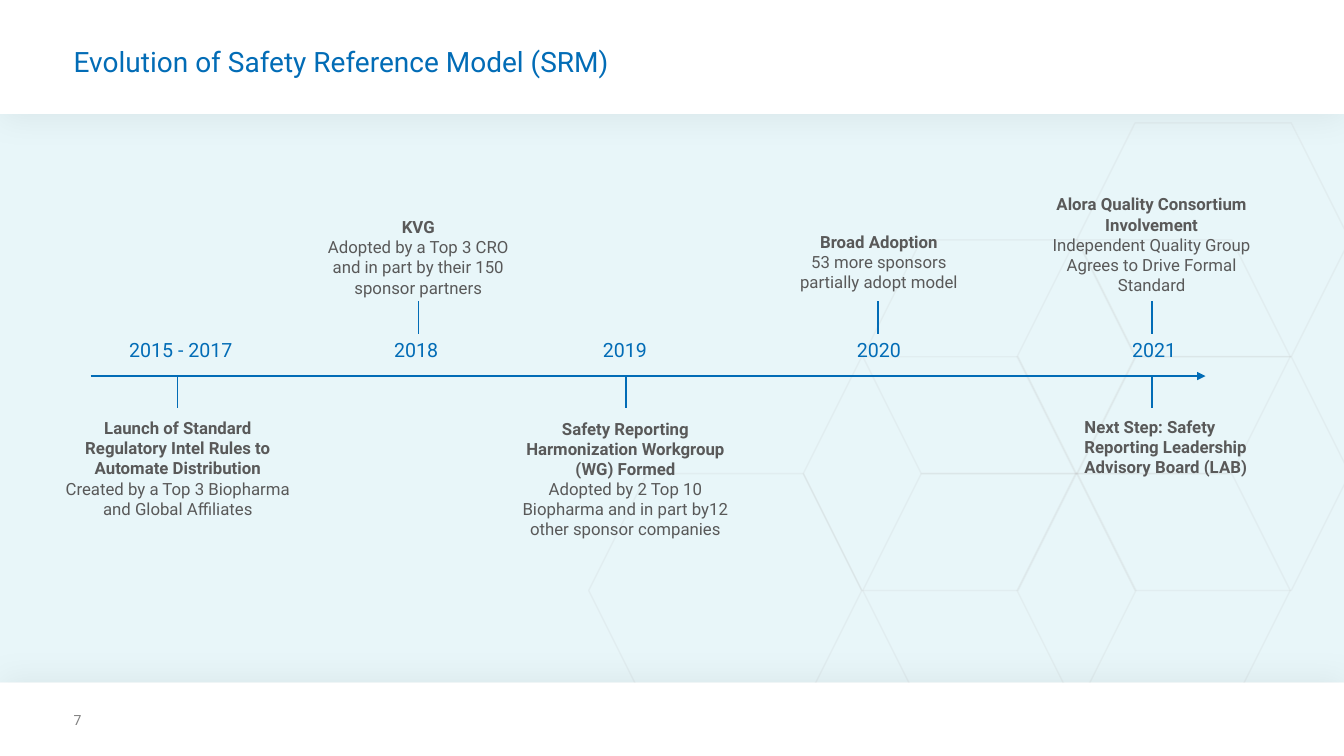
from dataclasses import dataclass

from lxml import etree
from pptx import Presentation
from pptx.dml.color import RGBColor
from pptx.enum.shapes import MSO_CONNECTOR, MSO_SHAPE
from pptx.enum.text import MSO_ANCHOR, PP_ALIGN
from pptx.oxml.ns import qn
from pptx.util import Pt

STRAIGHT = MSO_CONNECTOR.STRAIGHT
RECTANGLE, HEXAGON = MSO_SHAPE.RECTANGLE, MSO_SHAPE.HEXAGON
TOP, MIDDLE = MSO_ANCHOR.TOP, MSO_ANCHOR.MIDDLE
LEFT, CENTER = PP_ALIGN.LEFT, PP_ALIGN.CENTER

WIDTH, HEIGHT = 960, 540
HEADER_BOTTOM, FOOTER_TOP = 81.4, 487.6
AXIS_Y, AXIS_START, AXIS_END = 268.6, 64.8, 861.1
UPPER_TICK_Y, TICK_LENGTH = 215.3, 23
YEAR_TOP, YEAR_WIDTH, YEAR_HEIGHT = 241.2, 85, 17.3
HEXAGON_WIDTH, HEXAGON_HEIGHT = 195.1, 167
HEXAGON_TOP, HEXAGON_STEP = 87.8, 83.5
HEXAGON_ROWS = [[769], [616.3, 726.5], [573.8, 769], [420.5, 616.3, 726.5]]

YEARS = [
    ("2015 - 2017", 92.2),
    ("2018", 281.5),
    ("2019", 430.6),
    ("2020", 612),
    ("2021", 808.6),
]
UPPER_TICKS = [298.8, 627.1, 823]
LOWER_TICKS = [126.7, 447.1, 823]
MILESTONES = [
    ("Launch of Standard Regulatory Intel Rules to Automate Distribution",
     "Created by a Top 3 Biopharma and Global Affiliates",
     (37.4, 298.8, 179.3, 71.3)),
    ("KVG",
     "Adopted by a Top 3 CRO and in part by their 150 sponsor partners",
     (226.1, 148, 145.4, 71.3)),
    ("Safety Reporting Harmonization Workgroup (WG) Formed",
     "Adopted by 2 Top 10 Biopharma and in part by12 other sponsor companies",
     (357.1, 294.5, 179.3, 95)),
    ("Broad Adoption",
     "53 more sponsors partially adopt model",
     (555.1, 139.7, 145.4, 94.3)),
    ("Alora Quality Consortium Involvement",
     "Independent Quality Group Agrees to Drive Formal Standard",
     (738.7, 135.7, 167.8, 78)),
]


@dataclass(frozen=True)
class Theme:
    font: str = "Roboto"
    blue: str = "026CB6"
    gray: str = "595959"
    number_gray: str = "808080"
    outline: str = "BFBFBF"
    backdrop: str = "E8F6F9"
    white: str = "FFFFFF"
    black: str = "000000"
    title_size: int = 20
    year_size: int = 14
    body_size: int = 12
    number_size: int = 10


class SlideBuilder:
    def __init__(self, slide, theme):
        self.shapes = slide.shapes
        self.theme = theme

    def set_alpha(self, color, percent):
        etree.SubElement(color, qn("a:alpha"), val=str(percent * 1000))

    def band(self, top, height, color):
        band = self.shapes.add_shape(RECTANGLE, 0, Pt(top), Pt(WIDTH), Pt(height))
        band.shadow.inherit = False
        band.fill.solid()
        band.fill.fore_color.rgb = RGBColor.from_string(color)
        band.line.fill.background()
        return band

    def shadow_band(self, top, height, angle):
        band = self.band(top, height, self.theme.white)
        effects = band.element.spPr.find(qn("a:effectLst"))
        shadow = etree.SubElement(
            effects, qn("a:outerShdw"), blurRad=str(Pt(24)), dist=str(Pt(3)),
            dir=str(angle * 60000), algn="ctr", rotWithShape="0")
        color = etree.SubElement(shadow, qn("a:srgbClr"), val=self.theme.black)
        self.set_alpha(color, 6)

    def hexagon(self, left, top):
        hexagon = self.shapes.add_shape(
            HEXAGON, Pt(left), Pt(top), Pt(HEXAGON_WIDTH), Pt(HEXAGON_HEIGHT))
        hexagon.shadow.inherit = False
        hexagon.fill.background()
        hexagon.line.width = Pt(1)
        hexagon.line.color.rgb = RGBColor.from_string(self.theme.outline)
        for color in hexagon.element.spPr.iter(qn("a:srgbClr")):
            self.set_alpha(color, 14)

    def line(self, start, end, arrow=False):
        line = self.shapes.add_connector(STRAIGHT, *map(Pt, start + end))
        line.line.width = Pt(1)
        line.line.color.rgb = RGBColor.from_string(self.theme.blue)
        if arrow:
            etree.SubElement(line.line._get_or_add_ln(), qn("a:tailEnd"), type="triangle")
        etree.SubElement(line.element.spPr, qn("a:effectLst"))

    def text(self, paragraphs, area, size, color, bold_first=False,
             align=LEFT, anchor=TOP, insets=(0, 0, 0, 0), spacing=None):
        frame = self.shapes.add_textbox(*map(Pt, area)).text_frame
        frame.word_wrap = True
        frame.vertical_anchor = anchor
        (frame.margin_left, frame.margin_top,
         frame.margin_right, frame.margin_bottom) = map(Pt, insets)
        frame.text = "\n".join(paragraphs)
        for index, para in enumerate(frame.paragraphs):
            para.alignment = align
            if spacing:
                para.line_spacing = spacing
            for span in para.runs:
                span.font.name = self.theme.font
                span.font.size = Pt(size)
                span.font.bold = bold_first and index == 0
                span.font.color.rgb = RGBColor.from_string(color)

    def milestone(self, paragraphs, area, align=CENTER, anchor=MIDDLE):
        self.text(paragraphs, area, self.theme.body_size, self.theme.gray,
                  bold_first=True, align=align, anchor=anchor,
                  insets=(7.2, 3.6, 7.2, 3.6))


def main():
    deck = Presentation()
    deck.slide_width, deck.slide_height = Pt(WIDTH), Pt(HEIGHT)
    theme = Theme()
    page = SlideBuilder(deck.slides.add_slide(deck.slide_layouts[6]), theme)

    page.band(HEADER_BOTTOM, FOOTER_TOP - HEADER_BOTTOM, theme.backdrop)
    page.shadow_band(0, HEADER_BOTTOM, 90)
    for row, lefts in enumerate(HEXAGON_ROWS):
        for left in lefts:
            page.hexagon(left, HEXAGON_TOP + row * HEXAGON_STEP)
    page.shadow_band(FOOTER_TOP, HEIGHT - FOOTER_TOP, 270)

    page.text(["7"], (52.6, 508.3, 33.8, 11.5), theme.number_size, theme.number_gray)
    page.text(["Evolution of Safety Reference Model (SRM)"], (52.6, 31, 771.8, 50.4),
              theme.title_size, theme.blue, insets=(0, 3.6, 7.2, 3.6), spacing=0.9)

    page.line((AXIS_START, AXIS_Y), (AXIS_END, AXIS_Y), arrow=True)
    for top, ticks in ((UPPER_TICK_Y, UPPER_TICKS), (AXIS_Y, LOWER_TICKS)):
        for x in ticks:
            page.line((x, top), (x, top + TICK_LENGTH))
    for year, left in YEARS:
        page.text([year], (left, YEAR_TOP, YEAR_WIDTH, YEAR_HEIGHT),
                  theme.year_size, theme.blue)
    for heading, detail, area in MILESTONES:
        page.milestone([heading, detail], area)
    page.milestone(["Next Step: Safety Reporting Leadership Advisory Board (LAB)"],
                   (767.5, 293.8, 145.4, 65.5), align=LEFT, anchor=TOP)

    deck.save("out.pptx")


if __name__ == "__main__":
    main()
